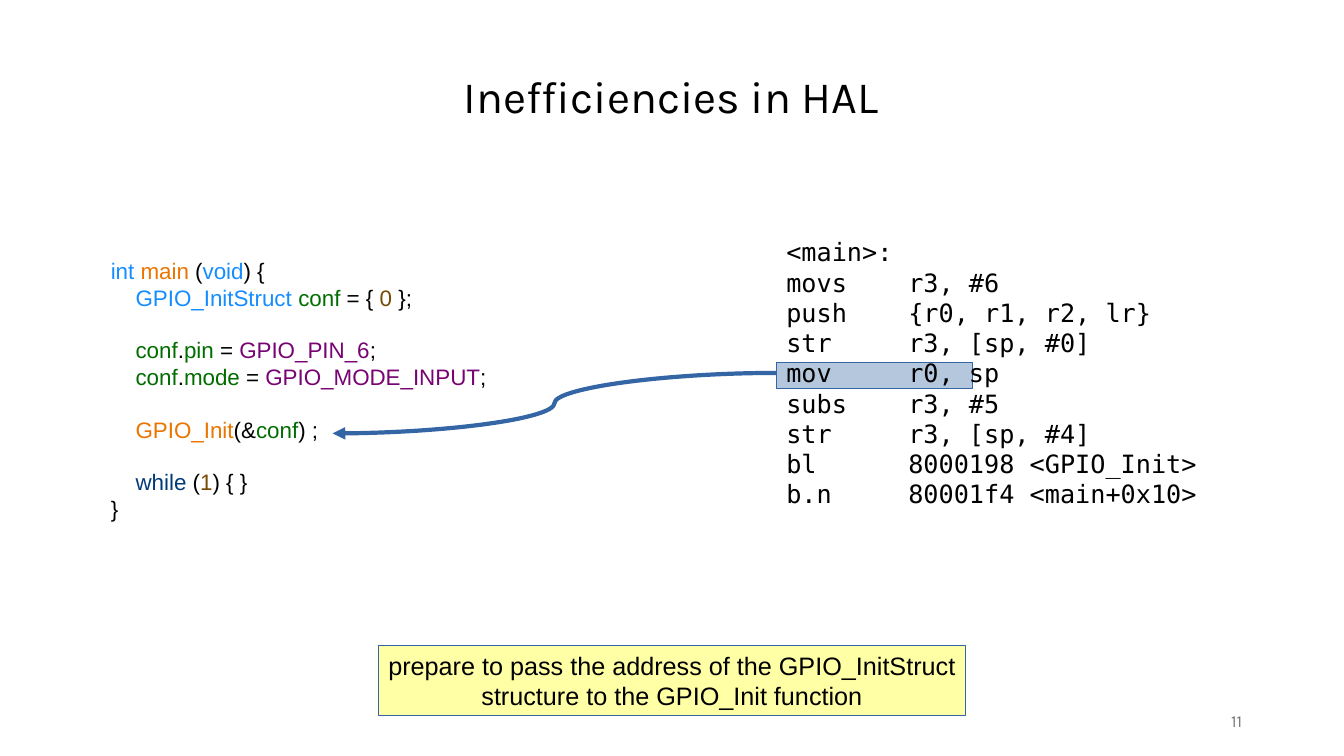
from lxml import etree
from pptx import Presentation
from pptx import util as u
from pptx.dml.color import RGBColor
from pptx.enum import shapes, text
from pptx.oxml.ns import qn

BLACK, BLUE = "000000", "3465A4"
TYPE, CALL, VAR, NUM = "168DFF", "EA7500", "006D00", "784B04"
MACRO, KEYWORD = "780373", "003B79"
INDENT = ("    ", BLACK)
MNEMONIC_COLUMN = 1.21
CODE_LINE = 18.4

# Each source line: blank lines above it, then its coloured tokens.
C_LINES = [
    (0, [("int ", TYPE), ("main", CALL), (" (", BLACK), ("void", TYPE), (") {", BLACK)]),
    (0, [INDENT, ("GPIO_InitStruct ", TYPE), ("conf", VAR), (" = { ", BLACK),
         ("0 ", NUM), ("};", BLACK)]),
    (1, [INDENT, ("conf", VAR), (".", BLACK), ("pin", VAR), (" = ", BLACK),
         ("GPIO_PIN_6", MACRO), (";", BLACK)]),
    (0, [INDENT, ("conf", VAR), (".", BLACK), ("mode", VAR), (" = ", BLACK),
         ("GPIO_MODE_INPUT", MACRO), (";", BLACK)]),
    (1, [INDENT, ("GPIO_Init", CALL), ("(&", BLACK), ("conf", VAR), (") ;", BLACK)]),
    (1, [INDENT, ("while", KEYWORD), (" (", BLACK), ("1", NUM), (") { }", BLACK)]),
    (0, [("}", BLACK)]),
]
ASM_LINES = [
    "<main>:",
    "movs\tr3, #6",
    "push\t{r0, r1, r2, lr}",
    "str\tr3, [sp, #0]",
    "mov\tr0, sp",
    "subs\tr3, #5",
    "str\tr3, [sp, #4]",
    "bl\t8000198 <GPIO_Init>",
    "b.n\t80001f4 <main+0x10>",
]
CAPTION = [
    "prepare to pass the address of the GPIO_InitStruct",
    "structure to the GPIO_Init function",
]


def rgb(hex_color):
    return RGBColor.from_string(hex_color)


def inches(*lengths):
    return [u.Inches(n) for n in lengths]


def add_run(p, content, size, font, color=BLACK):
    r = p.add_run()
    r.text = content
    r.font.size = u.Pt(size)
    r.font.name = font
    r.font.color.rgb = rgb(color)


def next_paragraph(tf, i):
    """Use the paragraph every frame starts with, then add new ones."""
    return tf.paragraphs[0] if i == 0 else tf.add_paragraph()


def add_text_box(slide, *at):
    tf = slide.shapes.add_textbox(*inches(*at)).text_frame
    tf.word_wrap = True
    return tf


def add_box(slide, at, fill):
    sp = slide.shapes.add_shape(shapes.MSO_SHAPE.RECTANGLE, *inches(*at))
    sp.shadow.inherit = False
    sp.fill.solid()
    sp.fill.fore_color.rgb = rgb(fill)
    sp.line.color.rgb = rgb(BLUE)
    sp.line.width = u.Pt(0)
    return sp


def set_title(slide, content):
    sp = slide.shapes.title
    sp.left, sp.top, sp.width, sp.height = inches(2.11, 0.69, 9.1, 1.11)
    tf = sp.text_frame
    tf.auto_size = text.MSO_AUTO_SIZE.NONE
    tf.vertical_anchor = text.MSO_ANCHOR.TOP
    p = tf.paragraphs[0]
    p.alignment = text.PP_ALIGN.CENTER
    p.line_spacing = 0.9
    add_run(p, content, 32, "Karla")


def add_c_code(slide):
    tf = add_text_box(slide, 1, 2.5, 5.25, 2.75)
    for i, (blank_lines, tokens) in enumerate(C_LINES):
        p = next_paragraph(tf, i)
        if blank_lines:
            p.space_before = u.Pt(blank_lines * CODE_LINE)
        for content, color in tokens:
            add_run(p, content, 16, "Arial", color)


def add_assembly(slide):
    tf = add_text_box(slide, 7.7, 2.3, 4.75, 3.37)
    for i, line in enumerate(ASM_LINES):
        p = next_paragraph(tf, i)
        tabs = etree.SubElement(p._p.get_or_add_pPr(), qn("a:tabLst"))
        etree.SubElement(tabs, qn("a:tab"), pos=str(u.Inches(MNEMONIC_COLUMN)), algn="l")
        add_run(p, line, 18, "DejaVu Sans Mono")


def add_caption(slide):
    tf = add_box(slide, (3.75, 6.4, 5.83, 0.7), "FFFFA6").text_frame
    tf.word_wrap = False
    tf.vertical_anchor = text.MSO_ANCHOR.TOP
    for i, line in enumerate(CAPTION):
        p = next_paragraph(tf, i)
        p.alignment = text.PP_ALIGN.CENTER
        add_run(p, line, 18, "Arial")


def add_curved_arrow(slide, start, end):
    cxn = slide.shapes.add_connector(shapes.MSO_CONNECTOR.CURVE, *inches(*start, *end))
    cxn.line.color.rgb = rgb(BLUE)
    cxn.line.width = u.Pt(3)
    etree.SubElement(cxn.line._get_or_add_ln(), qn("a:tailEnd"), type="triangle")
    etree.SubElement(cxn._element.spPr, qn("a:effectLst"))


def add_page_number(slide, number):
    tf = add_text_box(slide, 9.42, 6.95, 3, 0.4)
    tf.vertical_anchor = text.MSO_ANCHOR.MIDDLE
    p = tf.paragraphs[0]
    p.alignment = text.PP_ALIGN.RIGHT
    add_run(p, number, 12, "Karla", "787878")


def main():
    prs = Presentation()
    prs.slide_width, prs.slide_height = inches(13.33, 7.5)
    slide = prs.slides.add_slide(prs.slide_layouts[5])
    set_title(slide, "Inefficiencies in HAL")
    add_caption(slide)
    add_box(slide, (7.7, 3.6, 1.95, 0.25), "B4C7DC")
    add_c_code(slide)
    add_assembly(slide)
    add_curved_arrow(slide, (7.7, 3.7), (3.3, 4.3))
    add_page_number(slide, "11")
    prs.save("out.pptx")


if __name__ == "__main__":
    main()
